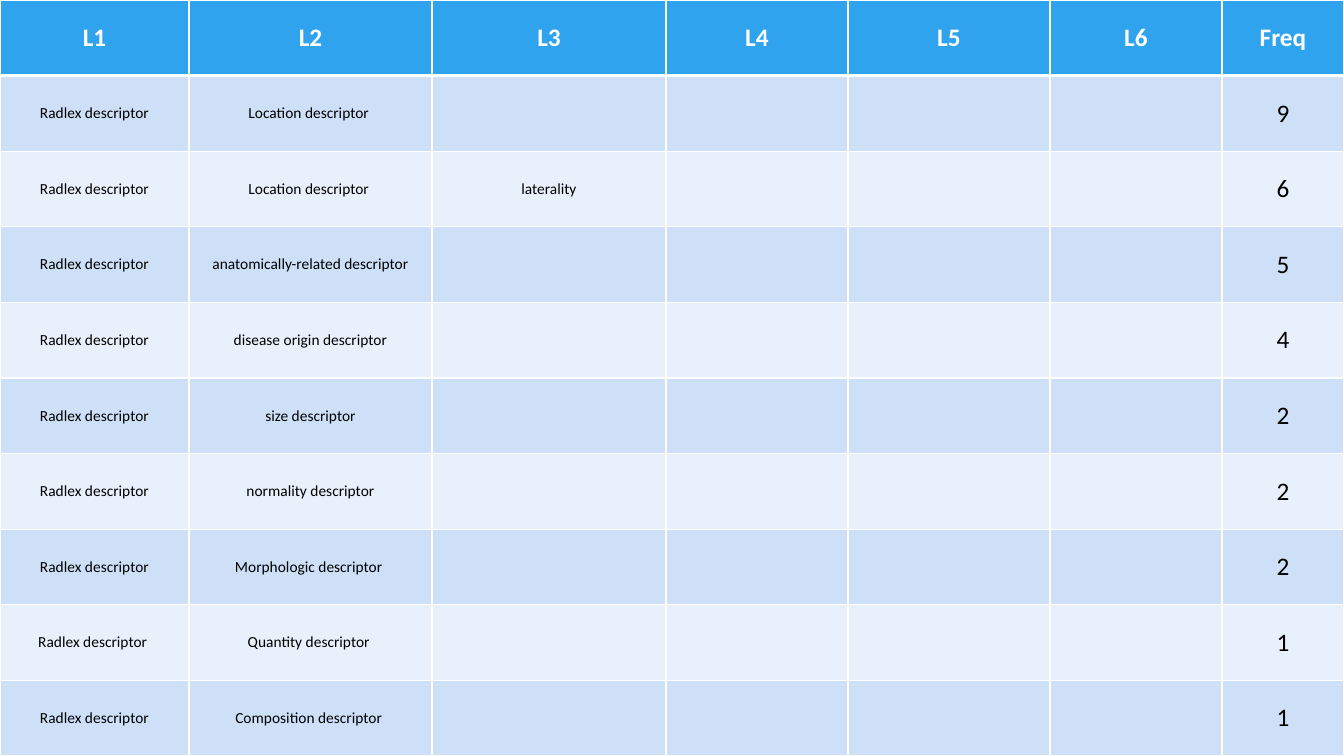
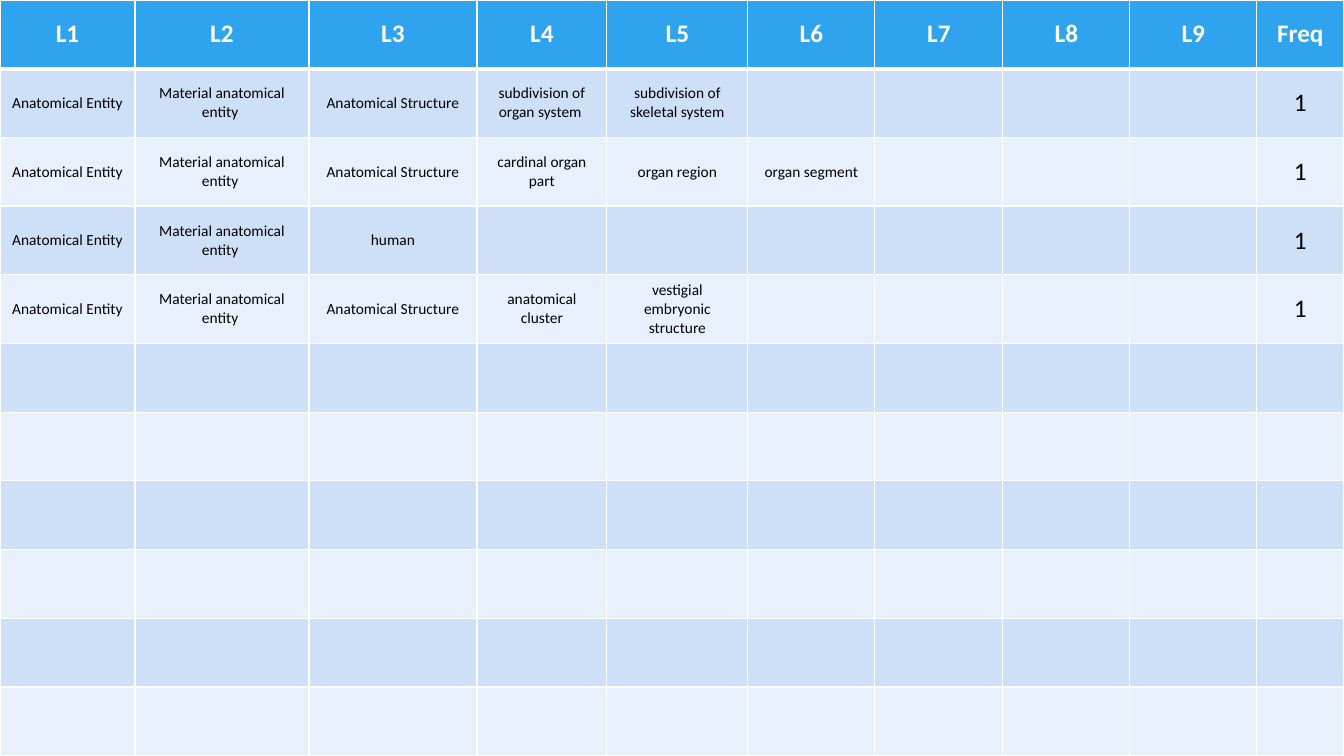
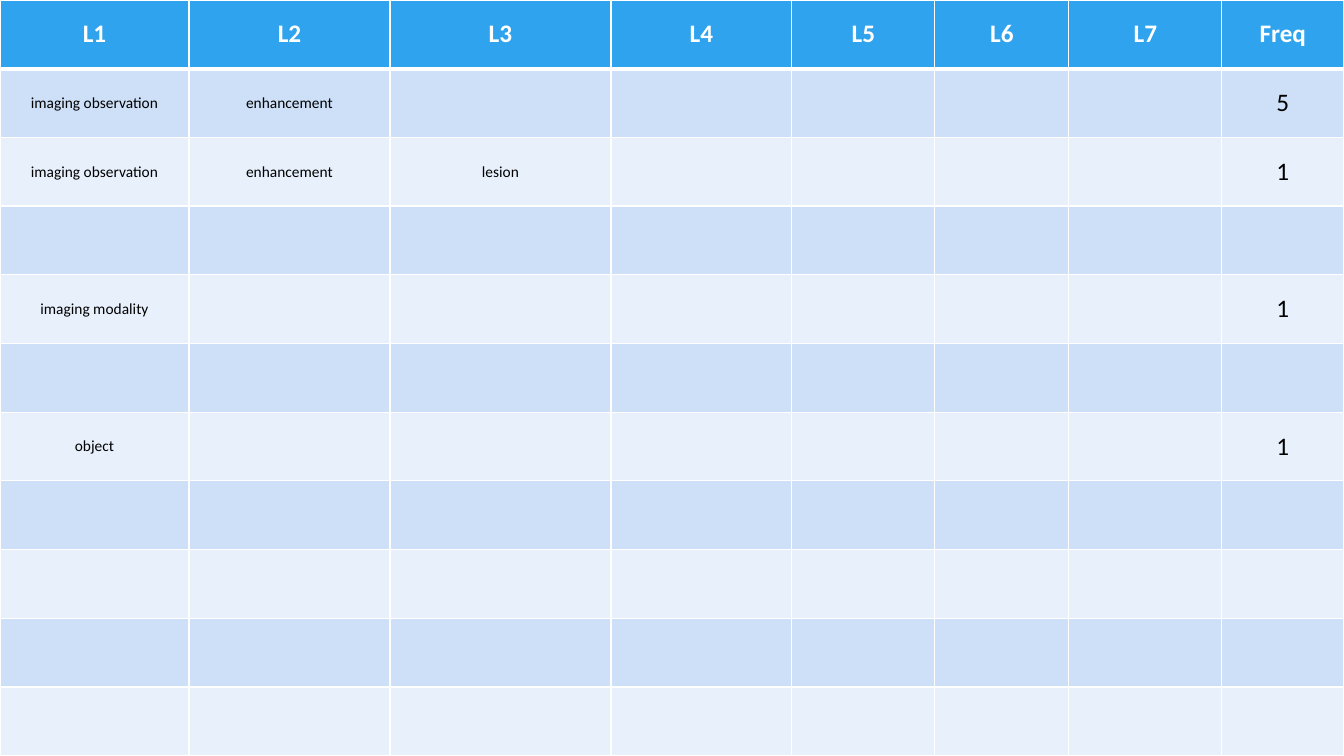
from lxml.etree import SubElement
from pptx import Presentation
from pptx.dml.color import RGBColor
from pptx.enum.text import MSO_ANCHOR, PP_ALIGN
from pptx.oxml.ns import qn
from pptx.util import Emu, Pt

WIDTH, HEIGHT = 1344, 756
EMU_PER_PX = 12192000 / WIDTH
FONT = "Calibri"
COLORS = {
    "header": "2FA3EE",
    "odd_band": "CDE0F8",
    "even_band": "E8F0FC",
    "line": "FFFFFF",
    "header_text": "FFFFFF",
    "body_text": "000000",
    "background_top": "FFFFFF",
    "background_bottom": "B9B9B9",
}

DESCRIPTOR = "Radlex descriptor"
ENTITY = ["Anatomical Entity", "Material anatomical entity "]
STRUCTURE = ENTITY + ["Anatomical Structure"]

TABLES = [
    {
        "columns": [189, 243, 234, 182, 202, 172, 122],
        "row_count": 9,
        "rows": {
            1: ([DESCRIPTOR, "Location descriptor "], 9),
            2: ([DESCRIPTOR, "Location descriptor ", "laterality"], 6),
            3: ([DESCRIPTOR, "anatomically-related descriptor"], 5),
            4: ([DESCRIPTOR, "disease origin descriptor"], 4),
            5: ([DESCRIPTOR, "size descriptor"], 2),
            6: ([DESCRIPTOR, "normality descriptor"], 2),
            7: ([DESCRIPTOR, "Morphologic descriptor "], 2),
            8: ([DESCRIPTOR + " ", "Quantity descriptor "], 1),
            9: ([DESCRIPTOR, "Composition descriptor "], 1),
        },
    },
    {
        "columns": [135, 174, 168, 130, 141, 127, 128, 127, 127, 87],
        "row_count": 10,
        "rows": {
            1: (STRUCTURE + ["subdivision of organ system ", "subdivision of skeletal system"], 1),
            2: (STRUCTURE + ["cardinal organ part", "organ region", "organ segment"], 1),
            3: (ENTITY + ["human"], 1),
            4: (STRUCTURE + ["anatomical cluster", "vestigial embryonic structure"], 1),
        },
    },
    {
        "columns": [189, 201, 221, 181, 143, 134, 153, 122],
        "row_count": 10,
        "rows": {
            1: (["imaging observation", "enhancement"], 5),
            2: (["imaging observation", "enhancement", "lesion"], 1),
            4: (["imaging modality"], 1),
            6: (["object"], 1),
        },
    },
]


def px(length):
    return Emu(round(length * EMU_PER_PX))


def rgb(name):
    return RGBColor.from_string(COLORS[name])


def write(cell, text, size=11, color="body_text", bold=False):
    para = cell.text_frame.paragraphs[0]
    para.alignment = PP_ALIGN.CENTER
    span = para.add_run()
    span.text = text
    span.font.name = FONT
    span.font.size = Pt(size)
    span.font.bold = bold
    span.font.color.rgb = rgb(color)


class FrequencyDeck:
    def __init__(self):
        self.deck = Presentation()
        self.deck.slide_width = px(WIDTH)
        self.deck.slide_height = px(HEIGHT)
        self.page = None
        self.background()

    def background(self):
        fill = self.deck.slide_master.background.fill
        fill.gradient()
        fill.gradient_angle = 270
        for stop, name, position in zip(
            fill.gradient_stops, ("background_top", "background_bottom"), (0, 1)
        ):
            stop.color.rgb = rgb(name)
            stop.position = position

    def add_page(self):
        self.page = self.deck.slides.add_slide(self.deck.slide_layouts[6])

    def border(self, cell, side, points):
        properties = cell._tc.get_or_add_tcPr()
        line = SubElement(properties, qn(f"a:ln{side}"), w=str(Pt(points)))
        fill = SubElement(line, qn("a:solidFill"))
        SubElement(fill, qn("a:srgbClr"), val=COLORS["line"])

    def style_cell(self, cell, row):
        widths = {"L": 1, "R": 1, "T": 3 if row == 1 else 1, "B": 3 if row == 0 else 1}
        for side, points in widths.items():
            self.border(cell, side, points)
        band = "header" if row == 0 else "odd_band" if row % 2 else "even_band"
        cell.fill.solid()
        cell.fill.fore_color.rgb = rgb(band)
        cell.vertical_anchor = MSO_ANCHOR.MIDDLE

    def table(self, columns, row_count, rows):
        total = row_count + 1
        table = self.page.shapes.add_table(
            total, len(columns), 0, 0, px(WIDTH), px(HEIGHT)
        ).table
        for column, width in zip(table.columns, columns):
            column.width = px(width)
        for index, row in enumerate(table.rows):
            row.height = px(HEIGHT / total)
            for cell in row.cells:
                self.style_cell(cell, index)

        last = len(columns) - 1
        headings = [f"L{level}" for level in range(1, last + 1)] + ["Freq"]
        for column, heading in enumerate(headings):
            write(table.cell(0, column), heading, size=18, color="header_text", bold=True)
        for row, (levels, frequency) in rows.items():
            for column, level in enumerate(levels):
                write(table.cell(row, column), level)
            write(table.cell(row, last), str(frequency), size=18)


def main():
    builder = FrequencyDeck()
    for content in TABLES:
        builder.add_page()
        builder.table(**content)
    builder.deck.save("out.pptx")


if __name__ == "__main__":
    main()
